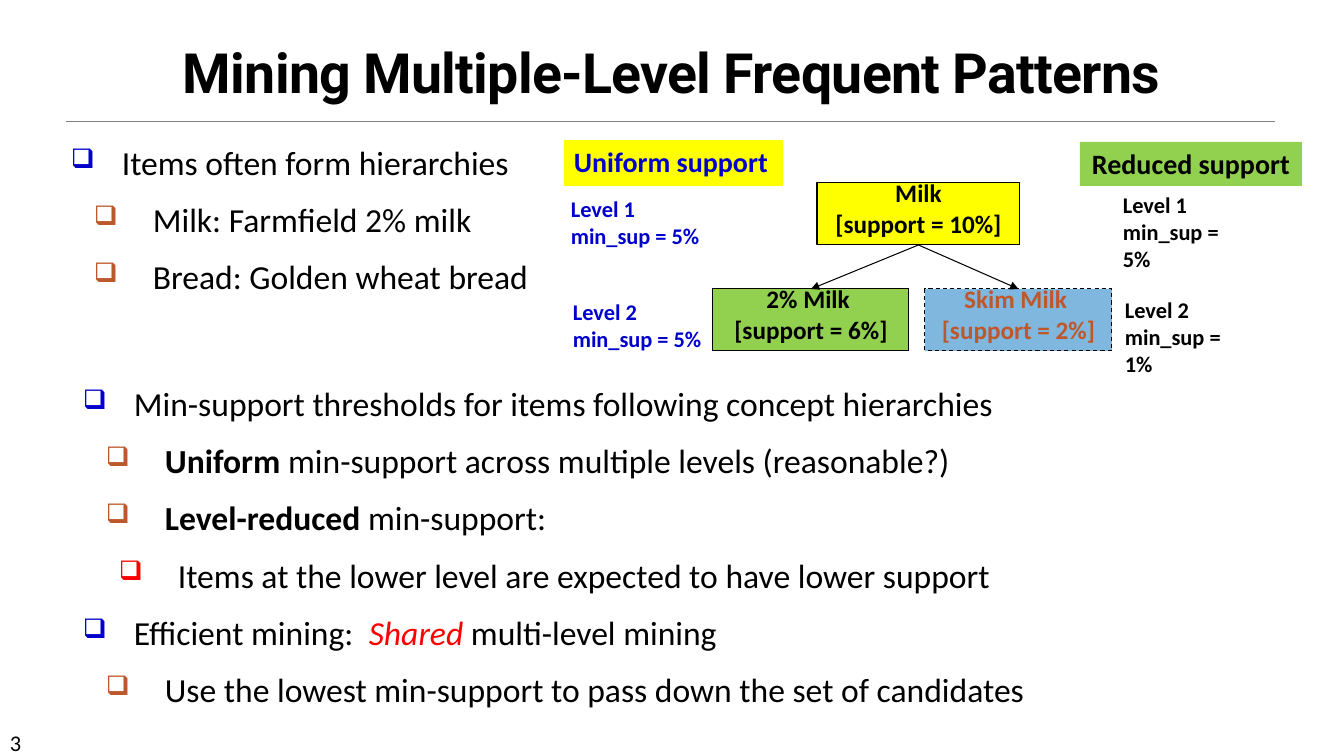
"""Build the slide on mining multiple-level frequent patterns."""
import pptx
import pptx.dml.color
import pptx.enum.dml
import pptx.enum.shapes
import pptx.enum.text
import pptx.oxml
import pptx.oxml.ns
import pptx.util

PX = 914400 / 100.8
BLACK, BLUE, RED, RUST = "000000", "0000CC", "FF0000", "BD582C"
YELLOW, GREEN, SKY, GREY = "FFFF00", "92D050", "0070C0", "808080"

TITLE = "Mining Multiple-Level Frequent Patterns"
PAGE = "3"
LEVELS = [(BLUE, 51, 51), (RUST, 82, 59), (RED, 95, 59)]

LISTS = [
    ((61, 137, 496, 237), [
        (0, [("Items often form hierarchies", "")]),
        (1, [("Milk: Farmfield 2% milk", "")]),
        (1, [("Bread: Golden wheat bread", "")]),
    ]),
    ((73, 378, 1111, 341), [
        (0, [("Min-support thresholds for items following concept hierarchies", "")]),
        (1, [("Uniform", "b"), (" min-support across multiple levels (reasonable?)", "")]),
        (1, [("Level-reduced", "b"), (" min-support:", "")]),
        (2, [("Items at the lower level are expected to have lower support", "")]),
        (0, [("Efficient mining:  ", ""), ("Shared", "i"), (" multi-level mining", "")]),
        (1, [("Use the lowest min-support to pass down the set of candidates", "")]),
    ]),
]
HEADS = [
    ((564, 140, 219, 46), "Uniform support", YELLOW, BLUE, "LEFT"),
    ((1080, 142, 222, 44), "Reduced support", GREEN, BLACK, "CENTER"),
]
NOTES = [
    ((561, 190, 150, 64), ["Level 1", "min_sup = 5%"], BLUE),
    ((563, 293, 150, 64), ["Level 2", "min_sup = 5%"], BLUE),
    ((1113, 186, 141, 64), ["Level 1", "min_sup = 5%"], BLACK),
    ((1115, 291, 141, 64), ["Level 2", "min_sup = 1%"], BLACK),
]
NODES = [
    ((817, 183, 203, 62), ["Milk", "[support = 10%]"], YELLOW, BLACK, False),
    ((713, 289, 196, 62), ["2% Milk ", "[support = 6%]"], GREEN, BLACK, False),
    ((925, 289, 187, 62), ["Skim Milk ", "[support = 2%]"], SKY, RUST, True),
]

deck = pptx.Presentation()
deck.slide_width, deck.slide_height = round(1344 * PX), round(756 * PX)
slide = deck.slides.add_slide(deck.slide_layouts[6])
shapes = slide.shapes


def emu(vals):
    return [round(v * PX) for v in vals]


def rgb(code):
    return pptx.dml.color.RGBColor.from_string(code)


def add_xml(host, text):
    ns = pptx.oxml.ns.nsdecls("a")
    node = pptx.oxml.parse_xml(text.replace("/>", f" {ns}/>", 1))
    host.append(node)


def add_run(para, text, size, color, bold=False, face="Calibri"):
    run = para.add_run()
    run.text = text
    font = run.font
    font.name, font.size, font.bold = face, pptx.util.Pt(size), bold
    font.color.rgb = rgb(color)
    return run


def add_para(frame, align="LEFT"):
    last = frame.paragraphs[-1]
    para = frame.add_paragraph() if last.runs else last
    para.alignment = getattr(pptx.enum.text.PP_ALIGN, align)
    return para


def add_text(box):
    frame = shapes.add_textbox(*emu(box)).text_frame
    frame.word_wrap = True
    return frame


def add_box(box, fill):
    kind = pptx.enum.shapes.MSO_SHAPE.RECTANGLE
    shape = shapes.add_shape(kind, *emu(box))
    shape.shadow.inherit = False
    shape.fill.solid()
    shape.fill.fore_color.rgb = rgb(fill)
    shape.line.fill.background()
    shape.text_frame.vertical_anchor = pptx.enum.text.MSO_ANCHOR.TOP
    return shape


def add_line(start, end, color, width, arrow=False):
    kind = pptx.enum.shapes.MSO_CONNECTOR.STRAIGHT
    link = shapes.add_connector(kind, *emu(start + end))
    link.line.color.rgb = rgb(color)
    link.line.width = pptx.util.Pt(width)
    if arrow:
        add_xml(link.line._get_or_add_ln(), '<a:tailEnd type="triangle"/>')
    add_xml(link._element.spPr, "<a:effectLst/>")


def add_list(box, items):
    frame = add_text(box)
    for level, parts in items:
        para = add_para(frame)
        color, left, hang = LEVELS[level]
        props = para._p.get_or_add_pPr()
        props.set("marL", str(round(left * PX)))
        props.set("indent", str(round(-hang * PX)))
        add_xml(props, "<a:buClr/>")
        add_xml(props[-1], f'<a:srgbClr val="{color}"/>')
        add_xml(props, '<a:buSzPct val="80000"/>')
        add_xml(props, '<a:buChar char="❑"/>')
        para.level = level
        para.space_before = pptx.util.Pt(6 if len(frame.paragraphs) > 1 else 0)
        para.space_after = pptx.util.Pt(6)
        for text, style in parts:
            run = add_run(para, text, 24, RED if style == "i" else BLACK, style == "b")
            run.font.italic = style == "i"


def add_node(box, lines, fill, color, dashed):
    shape = add_box(box, fill)
    shape.line.color.rgb = rgb(BLACK)
    shape.line.width = pptx.util.Pt(0.75)
    if dashed:
        shape.line.dash_style = pptx.enum.dml.MSO_LINE.DASH
        add_xml(shape.fill._xPr.solidFill[0], '<a:alpha val="50000"/>')
    for row, text in enumerate(lines):
        para = add_para(shape.text_frame, "CENTER")
        para.line_spacing = 0.6
        para.space_before = pptx.util.Pt(9 * row)
        add_run(para, text, 18, color, True)


add_line((66, 121), (1275, 121), GREY, 0.5)
add_run(add_para(add_text((0, 724, 118, 30))), PAGE, 16, BLACK)

frame = add_text((22, 42, 1299, 68))
frame.vertical_anchor = pptx.enum.text.MSO_ANCHOR.BOTTOM
para = add_para(frame, "CENTER")
para.line_spacing = 0.85
run = add_run(para, TITLE, 39.6, BLACK, True, "Roboto")
run._r.get_or_add_rPr().set("spc", "-50")

for item in LISTS:
    add_list(*item)
for box, text, fill, color, align in HEADS:
    frame = add_box(box, fill).text_frame
    add_run(add_para(frame, align), text, 20, color, True)
for box, lines, color in NOTES:
    frame = add_text(box)
    for text in lines:
        add_run(add_para(frame), text, 16, color, True)
for item in NODES:
    add_node(*item)

left, top, wide, high = NODES[0][0]
for box, *rest in NODES[1:]:
    add_line((left + wide / 2, top + high), (box[0] + box[2] / 2, box[1]), BLACK, 0.75, True)

deck.save("out.pptx")
